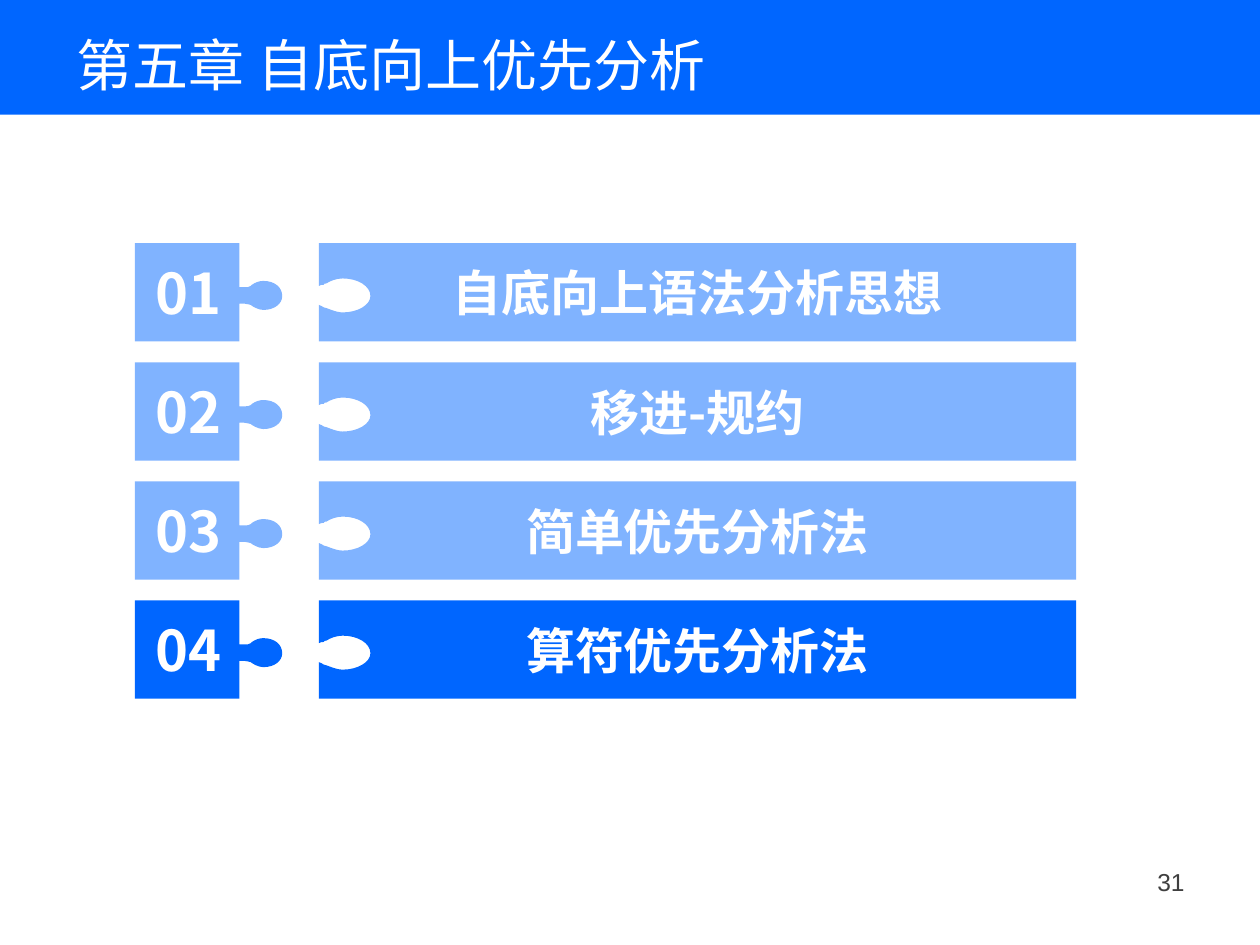
from lxml.etree import SubElement
from pptx import Presentation
from pptx.dml.color import RGBColor
from pptx.enum.shapes import MSO_SHAPE as Shape
from pptx.enum.text import MSO_ANCHOR as Anchor, PP_ALIGN as Align
from pptx.oxml.ns import qn
from pptx.util import Inches, Pt

TITLE = "第五章 自底向上优先分析"
PAGE = "31"
TOPICS = ["自底向上语法分析思想", "移进-规约", "简单优先分析法", "算符优先分析法"]
CURRENT = 4
BLUE, PALE, WHITE, GREY = "0066FF", "80B3FF", "FFFFFF", "3F3F3F"
LATIN, HAN = "Arial", "Noto Sans CJK SC"
TAB_X, BAR_X, TOP, PITCH = 1.07, 2.53, 1.93, 0.945
UNITS = 1000
TAB = [
    (1.02, 0.3),
    (0.99, 0.3, 0.96, 0.31, 0.93, 0.33),
    (0.93, 0.33, 0.92, 0.34, 0.92, 0.34),
    (0.91, 0.35, 0.89, 0.35, 0.87, 0.35),
    (0.85, 0.35, 0.84, 0.35, 0.83, 0.35),
    (0.83, 0), (0, 0), (0, 0.78), (0.83, 0.78), (0.83, 0.48),
    (0.85, 0.48, 0.85, 0.48, 0.87, 0.48),
    (0.89, 0.48, 0.91, 0.49, 0.92, 0.49),
    (0.93, 0.5, 0.98, 0.53, 1.02, 0.53),
    (1.11, 0.53, 1.17, 0.48, 1.17, 0.42),
    (1.17, 0.35, 1.11, 0.3, 1.02, 0.3),
]
BAR = [
    (6.01, 0), (0, 0), (0, 0.34),
    (0.01, 0.33, 0.03, 0.33, 0.04, 0.33),
    (0.04, 0.32, 0.05, 0.32, 0.06, 0.32),
    (0.09, 0.3, 0.14, 0.28, 0.19, 0.28),
    (0.31, 0.28, 0.41, 0.34, 0.41, 0.42),
    (0.41, 0.49, 0.31, 0.55, 0.19, 0.55),
    (0.13, 0.55, 0.06, 0.51, 0.04, 0.51),
    (0.03, 0.5, 0.02, 0.5, 0, 0.49),
    (0, 0.78), (6.01, 0.78),
]


def paint(shape, color):
    """Give a shape a flat fill with no line or shadow."""
    shape.fill.solid()
    shape.fill.fore_color.rgb = RGBColor.from_string(color)
    shape.line.fill.background()
    shape.shadow.inherit = False


def write(shape, text, size, font, color, align, bold=False):
    """Set and format the text of a shape."""
    frame = shape.text_frame
    frame.text = text
    frame.word_wrap = True
    para = frame.paragraphs[0]
    para.alignment = align
    run = para.runs[0]
    run.font.size, run.font.name, run.font.bold = Pt(size), font, bold
    run.font.color.rgb = RGBColor.from_string(color)
    east = run.font._element.makeelement(qn("a:ea"), {"typeface": HAN})
    run.font._element.find(qn("a:latin")).addnext(east)
    return frame


def bend(shape, parts):
    """Turn the straight steps that have control points into curves."""
    steps = list(shape._element.iter(qn("a:lnTo")))
    for step, part in zip(steps, parts):
        if len(part) == 2:
            continue
        curve = step.makeelement(qn("a:cubicBezTo"))
        for x, y in zip(part[::2], part[1::2]):
            spot = {"x": str(round(x * UNITS)), "y": str(round(y * UNITS))}
            SubElement(curve, qn("a:pt"), spot)
        step.getparent().replace(step, curve)


def piece(slide, path, left, top, color, text, size):
    """Draw a puzzle piece with centred white text."""
    ends = [(round(part[-2] * UNITS), round(part[-1] * UNITS)) for part in path]
    # extent points all lie on the outline ends
    pen = slide.shapes.build_freeform(*ends[0], scale=Inches(1) / UNITS)
    pen.add_line_segments(ends[1:], close=True)
    shape = pen.convert_to_shape(Inches(left), Inches(top))
    bend(shape, path[1:])
    paint(shape, color)
    frame = write(shape, text, size, HAN, WHITE, Align.CENTER, True)
    frame.vertical_anchor = Anchor.MIDDLE
    return frame


def main():
    """Build the chapter outline slide."""
    deck = Presentation()
    deck.slide_width, deck.slide_height = Inches(10), Inches(7.5)
    slide = deck.slides.add_slide(deck.slide_layouts[5])
    band = slide.shapes.add_shape(Shape.RECTANGLE, 0, 0, Inches(10.04), Inches(0.91))
    paint(band, BLUE)
    slide.shapes._spTree.insert(2, band._element)

    title = slide.shapes.title
    title.left, title.top = Inches(0.51), Inches(0.12)
    title.width, title.height = Inches(8.99), Inches(0.78)
    frame = write(title, TITLE, 32, LATIN, WHITE, Align.LEFT)
    frame.vertical_anchor = Anchor.MIDDLE

    for n, topic in enumerate(TOPICS, 1):
        top = TOP + (n - 1) * PITCH
        color = BLUE if n == CURRENT else PALE
        frame = piece(slide, TAB, TAB_X, top, color, f"{n:02}", 32)
        frame.margin_left, frame.margin_right = 0, Inches(0.31)
        piece(slide, BAR, BAR_X, top, color, topic, 28)

    page = slide.shapes.add_textbox(Inches(7.17), Inches(6.83), Inches(2.33), Inches(0.52))
    write(page, PAGE, 14, LATIN, GREY, Align.RIGHT)
    deck.save("out.pptx")


if __name__ == "__main__":
    main()
